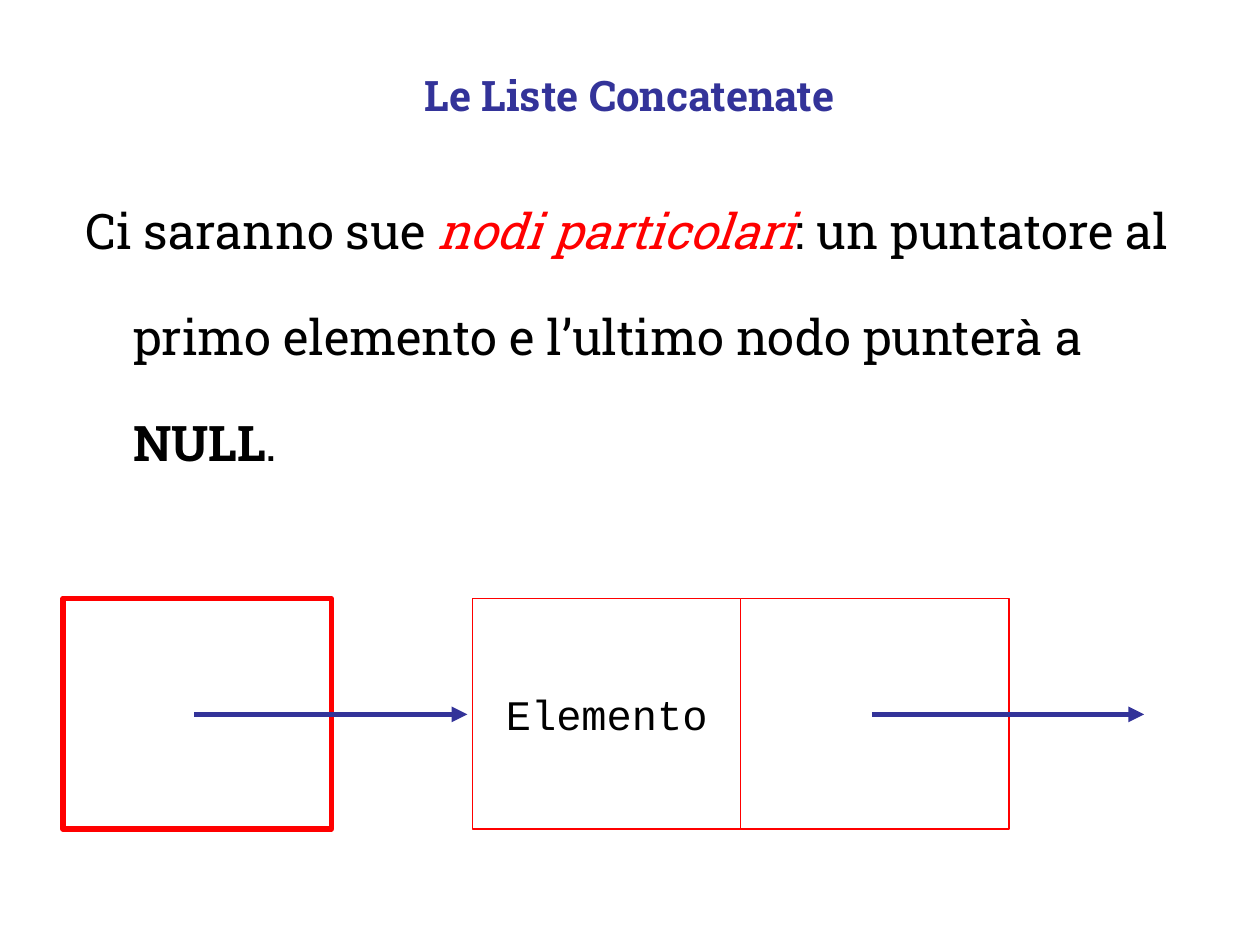
"""Build a slide on linked lists with a head pointer and one node."""
from lxml.etree import SubElement
from pptx import Presentation
from pptx.dml.color import RGBColor
from pptx.enum.shapes import MSO_CONNECTOR, MSO_SHAPE
from pptx.enum.text import MSO_ANCHOR, PP_ALIGN
from pptx.oxml.ns import qn
from pptx.util import Inches, Pt

COLORS = {
    "blue": "333399",
    "red": "FF0000",
    "black": "000000",
    "white": "FFFFFF",
}


def color(name):
    return RGBColor.from_string(COLORS[name])


def add_span(para, text, size=28, font="Roboto Slab", ink="black", bold=False, italic=False):
    span = para.add_run()
    span.text = text
    span.font.size = Pt(size)
    span.font.name = font
    span.font.color.rgb = color(ink)
    span.font.bold = bold
    span.font.italic = italic


deck = Presentation()
deck.slide_width = Inches(10)
deck.slide_height = Inches(7.5)
page = deck.slides.add_slide(deck.slide_layouts[6])

title = page.shapes.add_textbox(Inches(0.75), Inches(0.42), Inches(8.5), Inches(0.67))
title.text_frame.word_wrap = True
title.text_frame.vertical_anchor = MSO_ANCHOR.MIDDLE
para = title.text_frame.paragraphs[0]
para.alignment = PP_ALIGN.CENTER
add_span(para, "Le Liste Concatenate", size=24, ink="blue", bold=True)

body = page.shapes.add_textbox(Inches(0.58), Inches(1.17), Inches(9.17), Inches(2.83))
body.text_frame.word_wrap = True
para = body.text_frame.paragraphs[0]
para.line_spacing = 1.8
indent = Inches(0.38)
para_format = para._p.get_or_add_pPr()
para_format.set("marL", str(indent))
para_format.set("indent", str(-indent))
add_span(para, "Ci saranno sue ")
add_span(para, "nodi particolari", ink="red", italic=True)
add_span(para, ": un puntatore al primo elemento e l’ultimo nodo punterà a ")
add_span(para, "NULL", bold=True)
add_span(para, ".")

for left, line_width, label in [(5.88, 0.75, ""), (3.75, 0.75, "Elemento"), (0.5, 3, "")]:
    box = page.shapes.add_shape(
        MSO_SHAPE.RECTANGLE, Inches(left), Inches(4.75), Inches(2.13), Inches(1.83)
    )
    box.shadow.inherit = False
    box.fill.solid()
    box.fill.fore_color.rgb = color("white")
    box.line.color.rgb = color("red")
    box.line.width = Pt(line_width)
    if label:
        box.text_frame.word_wrap = False
        box.text_frame.vertical_anchor = MSO_ANCHOR.MIDDLE
        para = box.text_frame.paragraphs[0]
        para.alignment = PP_ALIGN.CENTER
        add_span(para, label, size=24, font="Courier New")

for start, end in [(6.92, 9.08), (1.54, 3.71)]:
    arrow = page.shapes.add_connector(
        MSO_CONNECTOR.STRAIGHT, Inches(start), Inches(5.67), Inches(end), Inches(5.67)
    )
    arrow.line.color.rgb = color("blue")
    arrow.line.width = Pt(3)
    SubElement(arrow.line._get_or_add_ln(), qn("a:tailEnd"), type="triangle")
    SubElement(arrow._element.spPr, qn("a:effectLst"))

deck.save("out.pptx")
